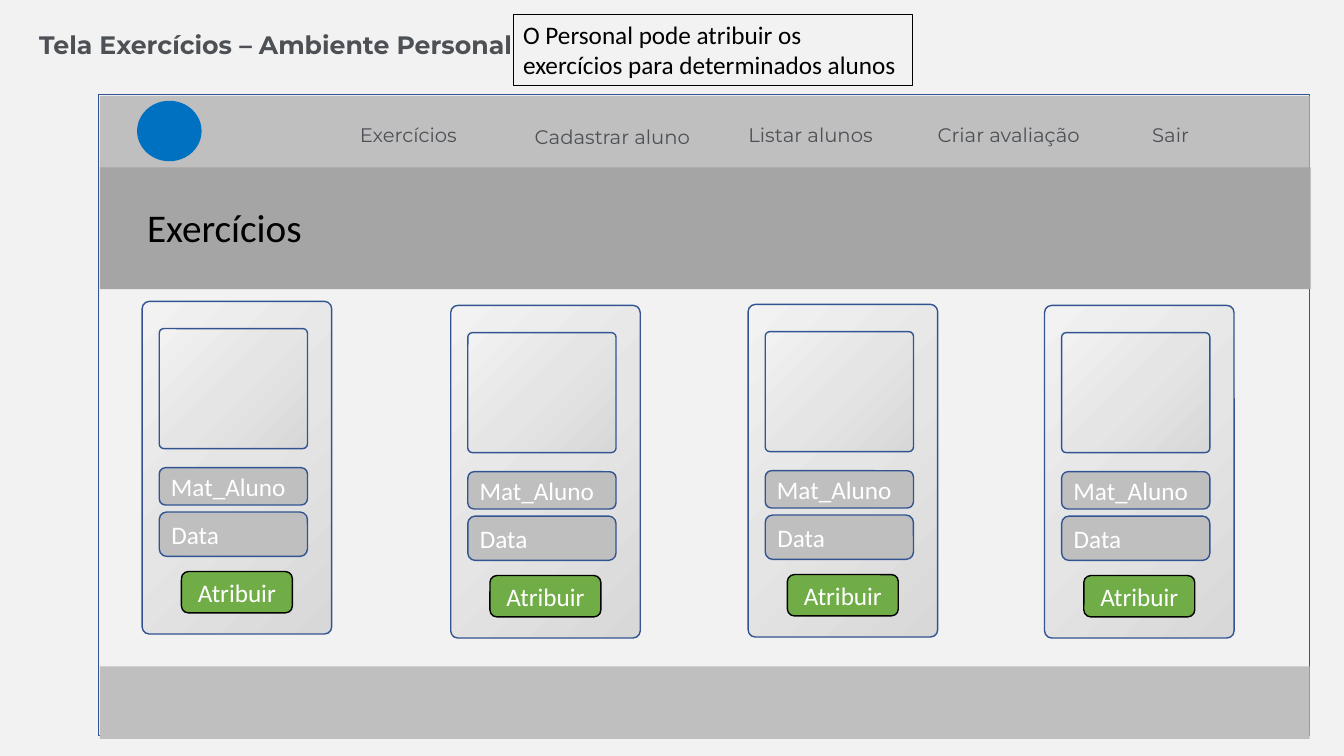
"""Builds the exercise screen wireframe for the personal trainer area."""
from pptx import Presentation
from pptx.dml.color import RGBColor
from pptx.enum.shapes import MSO_SHAPE
from pptx.enum.text import MSO_ANCHOR, PP_ALIGN
from pptx.oxml import parse_xml
from pptx.oxml.ns import nsdecls
from pptx.util import Inches, Pt

RECT, ROUND, OVAL = MSO_SHAPE.RECTANGLE, MSO_SHAPE.ROUNDED_RECTANGLE, MSO_SHAPE.OVAL
LEFT, CENTER = PP_ALIGN.LEFT, PP_ALIGN.CENTER
TOP, MIDDLE = MSO_ANCHOR.TOP, MSO_ANCHOR.MIDDLE

THEME = {
    "page": "F2F2F2", "bar": "BFBFBF", "banner": "A5A5A5", "outline": "325491",
    "accent": "0070C0", "button": "70AD47", "black": "000000",
    "gradient": ((0, "D8D8D8"), (50, "E5E5E5"), (100, "F2F2F2")),
    "title": {"name": "Montserrat", "size": 18, "bold": True, "color": "4D5156"},
    "menu": {"name": "Montserrat", "size": 14, "bold": False, "color": "4D5156"},
    "heading": {"name": "Calibri", "size": 28, "bold": False, "color": "000000"},
    "note": {"name": "Calibri", "size": 18, "bold": False, "color": "000000"},
    "card": {"name": "Calibri", "size": 18, "bold": False, "color": "FFFFFF"},
}

TITLE = "Tela Exercícios – Ambiente Personal"
NOTE = "O Personal pode atribuir os exercícios para determinados alunos"
HEADING = "Exercícios"
MENU = [
    ("Exercícios", 3.09, 1.17, 1.92),
    ("Cadastrar aluno", 5.06, 1.19, 2.03),
    ("Listar alunos", 7.08, 1.17, 1.92),
    ("Criar avaliação", 9.08, 1.17, 1.85),
    ("Sair", 11.02, 1.17, 1.18),
]
BANDS = [
    ((0.98, 0.94, 12.01, 6.36), "page", "outline"),
    ((0.99, 0.95, 12, 0.72), "bar", None),
    ((0.99, 1.66, 12.01, 1.21), "banner", None),
    ((0.99, 6.61, 12, 0.72), "bar", None),
]
CARDS = [(1.41, 2.99), (4.47, 3.03), (7.42, 3.02), (10.36, 3.03)]
CARD_PANELS = [(0, 0, 1.88, 3.3), (0.17, 0.27, 1.47, 1.19)]
CARD_FIELDS = [
    ("Atribuir", (0.39, 2.68, 1.1, 0.41), "button", "black", CENTER),
    ("Mat_Aluno", (0.17, 1.65, 1.47, 0.37), "bar", "outline", LEFT),
    ("Data", (0.17, 2.09, 1.47, 0.44), "bar", "outline", LEFT),
]
PANEL_ROUNDING = 0.038


def rgb(key):
    return RGBColor.from_string(THEME[key])


def add_box(shapes, kind, box, fill=None, line=None, width=1):
    sp = shapes.add_shape(kind, *map(Inches, box))
    sp.shadow.inherit = False
    if fill:
        sp.fill.solid()
        sp.fill.fore_color.rgb = rgb(fill)
    else:
        sp.fill.background()
    if line:
        sp.line.color.rgb = rgb(line)
        sp.line.width = Pt(width)
    else:
        sp.line.fill.background()
    return sp


def write(sp, text, style, align=LEFT, anchor=TOP):
    tf = sp.text_frame
    tf.word_wrap = True
    tf.vertical_anchor = anchor
    p = tf.paragraphs[0]
    p.alignment = align
    r = p.add_run()
    r.text = text
    fmt = THEME[style]
    for name, value in {"name": fmt["name"], "size": Pt(fmt["size"]), "bold": fmt["bold"]}.items():
        setattr(r.font, name, value)
    r.font.color.rgb = RGBColor.from_string(fmt["color"])


def add_label(shapes, text, box, style, align=LEFT):
    write(shapes.add_textbox(*map(Inches, box)), text, style, align)


def shade(sp):
    sp.fill.gradient()
    stops = "".join(
        f'<a:gs pos="{pos * 1000}"><a:srgbClr val="{color}"/></a:gs>'
        for pos, color in THEME["gradient"])
    old = sp.element.spPr.find("{*}gradFill")
    old.getparent().replace(old, parse_xml(
        f'<a:gradFill {nsdecls("a")} rotWithShape="1"><a:gsLst>{stops}</a:gsLst>'
        '<a:path path="circle"><a:fillToRect l="100000" t="100000"/></a:path></a:gradFill>'))


def add_card(shapes, left, top):
    card = shapes.add_group_shape().shapes
    for x, y, w, h in CARD_PANELS:
        panel = add_box(card, ROUND, (left + x, top + y, w, h), "page", "outline")
        panel.adjustments[0] = PANEL_ROUNDING
        shade(panel)
    for text, (x, y, w, h), fill, line, align in CARD_FIELDS:
        field = add_box(card, ROUND, (left + x, top + y, w, h), fill, line)
        write(field, text, "card", align, MIDDLE)


def main():
    prs = Presentation()
    prs.slide_width, prs.slide_height = Inches(13.33), Inches(7.5)
    s = prs.slides.add_slide(prs.slide_layouts[6])
    s.background.fill.solid()
    s.background.fill.fore_color.rgb = rgb("page")
    for box, fill, line in BANDS:
        add_box(s.shapes, RECT, box, fill, line)
    add_box(s.shapes, OVAL, (1.36, 1, 0.64, 0.6), "accent")
    add_label(s.shapes, TITLE, (0.29, 0.24, 6.05, 0.4), "title")
    for text, x, y, w in MENU:
        add_label(s.shapes, text, (x, y, w, 0.34), "menu", CENTER)
    add_label(s.shapes, HEADING, (1.36, 1.97, 2.78, 0.57), "heading")
    for left, top in CARDS:
        add_card(s.shapes, left, top)
    note = add_box(s.shapes, RECT, (5.09, 0.14, 3.96, 0.71), line="black", width=0.75)
    write(note, NOTE, "note")
    prs.save("out.pptx")


if __name__ == "__main__":
    main()
